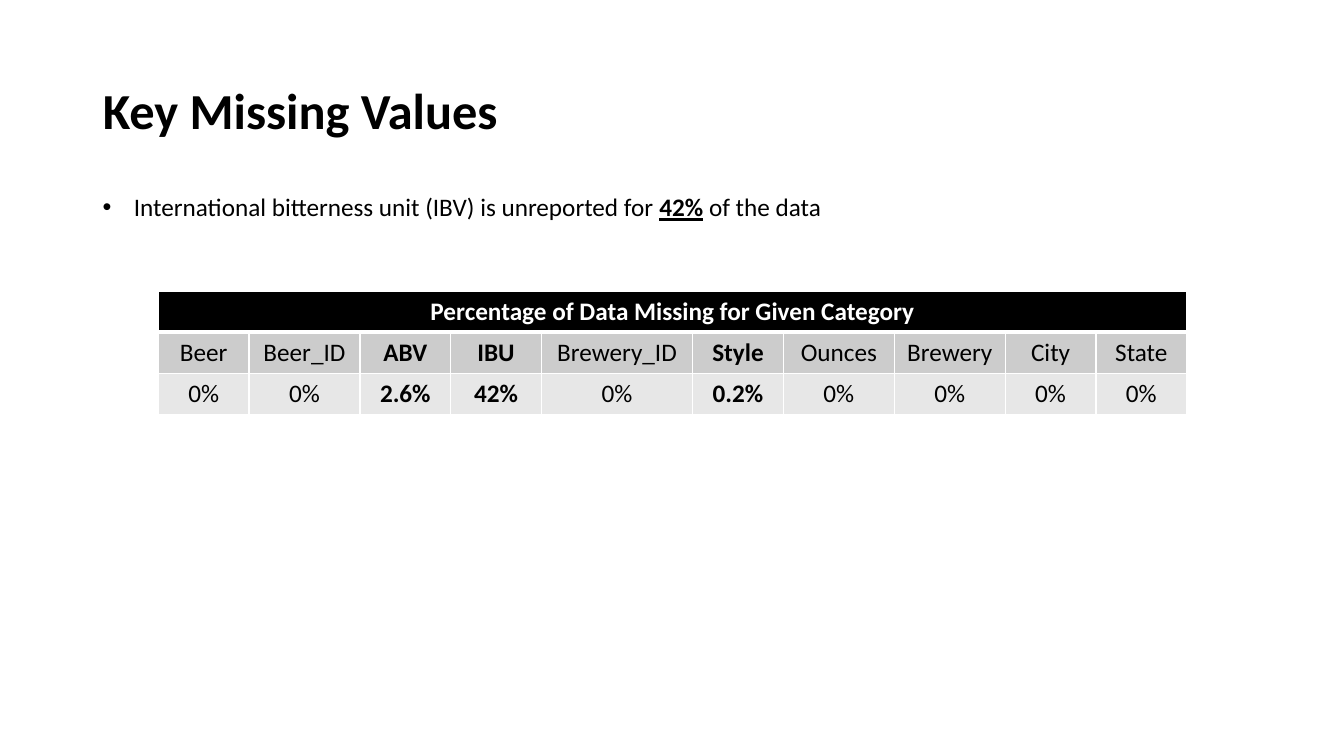
import dataclasses

import lxml.etree
import pptx
import pptx.dml.color
import pptx.enum.text
import pptx.oxml.ns
import pptx.util

Inches = pptx.util.Inches
PP_ALIGN = pptx.enum.text.PP_ALIGN
ANCHOR = pptx.enum.text.MSO_ANCHOR
qn = pptx.oxml.ns.qn


@dataclasses.dataclass(frozen=True)
class Theme:
    font: str = "Calibri"
    ink: str = "000000"
    paper: str = "FFFFFF"
    category_band: str = "CCCCCC"
    value_band: str = "E7E7E7"
    title_size: int = 36
    body_size: int = 18
    grid_line: int = 1
    header_line: int = 3


THEME = Theme()

# Category, share missing, column width in inches
MISSING = [
    ("Beer", "0%", 0.9),
    ("Beer_ID", "0%", 1.1),
    ("ABV", "2.6%", 0.9),
    ("IBU", "42%", 0.9),
    ("Brewery_ID", "0%", 1.5),
    ("Style", "0.2%", 0.9),
    ("Ounces", "0%", 1.1),
    ("Brewery", "0%", 1.1),
    ("City", "0%", 0.9),
    ("State", "0%", 0.9),
]


def rgb(value):
    return pptx.dml.color.RGBColor.from_string(value)


def write(paragraph, text, size=THEME.body_size, color=THEME.ink,
          bold=False, underline=False, align=PP_ALIGN.LEFT):
    paragraph.alignment = align
    run = paragraph.add_run()
    run.text = text
    run.font.name = THEME.font
    run.font.size = pptx.util.Pt(size)
    run.font.color.rgb = rgb(color)
    run.font.bold = bold
    run.font.underline = underline


def add_bullet(paragraph, indent):
    properties = paragraph._p.get_or_add_pPr()
    properties.set("marL", str(indent))
    properties.set("indent", str(-indent))
    lxml.etree.SubElement(properties, qn("a:buFont"), typeface="Arial")
    lxml.etree.SubElement(properties, qn("a:buChar"), char="•")


def set_borders(cell, **widths):
    properties = cell._tc.get_or_add_tcPr()
    for position, side in enumerate("LRTB"):
        width = pptx.util.Pt(widths.get(side, THEME.grid_line))
        line = lxml.etree.Element(qn(f"a:ln{side}"), w=str(width))
        fill = lxml.etree.SubElement(line, qn("a:solidFill"))
        lxml.etree.SubElement(fill, qn("a:srgbClr"), val=THEME.paper)
        properties.insert(position, line)


def format_cell(cell, text, band, **text_format):
    cell.fill.solid()
    cell.fill.fore_color.rgb = rgb(band)
    write(cell.text_frame.paragraphs[0], text, align=PP_ALIGN.CENTER, **text_format)


def place_title(slide, left, top, width, height):
    title = slide.shapes.title
    title.left, title.top, title.width, title.height = left, top, width, height
    title.text_frame.vertical_anchor = ANCHOR.MIDDLE
    heading = title.text_frame.paragraphs[0]
    heading.line_spacing = 0.9
    write(heading, "Key Missing Values", size=THEME.title_size, bold=True)


def place_finding(slide, left, top, width, height):
    finding = slide.shapes.add_textbox(left, top, width, height).text_frame
    finding.word_wrap = True
    finding.auto_size = pptx.enum.text.MSO_AUTO_SIZE.SHAPE_TO_FIT_TEXT
    sentence = finding.paragraphs[0]
    write(sentence, "International bitterness unit (IBV) is unreported for ")
    write(sentence, "42%", bold=True, underline=True)
    write(sentence, " of the data")
    add_bullet(sentence, Inches(0.31))


def place_missing_table(slide, left, top, width, height):
    table = slide.shapes.add_table(3, len(MISSING), left, top, width, height).table

    # Header across all categories
    header = table.cell(0, 0)
    header.merge(table.cell(0, len(MISSING) - 1))
    format_cell(header, "Percentage of Data Missing for Given Category",
                THEME.ink, color=THEME.paper, bold=True)

    # One column per category, with incomplete ones in bold
    for column, (category, share, column_width) in enumerate(MISSING):
        table.columns[column].width = Inches(column_width)
        incomplete = share != "0%"
        format_cell(table.cell(1, column), category, THEME.category_band, bold=incomplete)
        format_cell(table.cell(2, column), share, THEME.value_band, bold=incomplete)
        set_borders(table.cell(0, column), B=THEME.header_line)
        set_borders(table.cell(1, column), T=THEME.header_line)
        set_borders(table.cell(2, column))


def main():
    deck = pptx.Presentation()
    deck.slide_width, deck.slide_height = Inches(13.33), Inches(7.5)
    slide = deck.slides.add_slide(deck.slide_layouts[5])
    margin, content_width = Inches(0.92), Inches(11.5)
    place_title(slide, margin, Inches(0.4), content_width, Inches(1.45))
    place_finding(slide, margin, Inches(1.85), content_width, Inches(0.4))
    place_missing_table(slide, Inches(1.57), Inches(2.89), Inches(10.2), Inches(1.22))
    deck.save("out.pptx")


if __name__ == "__main__":
    main()
